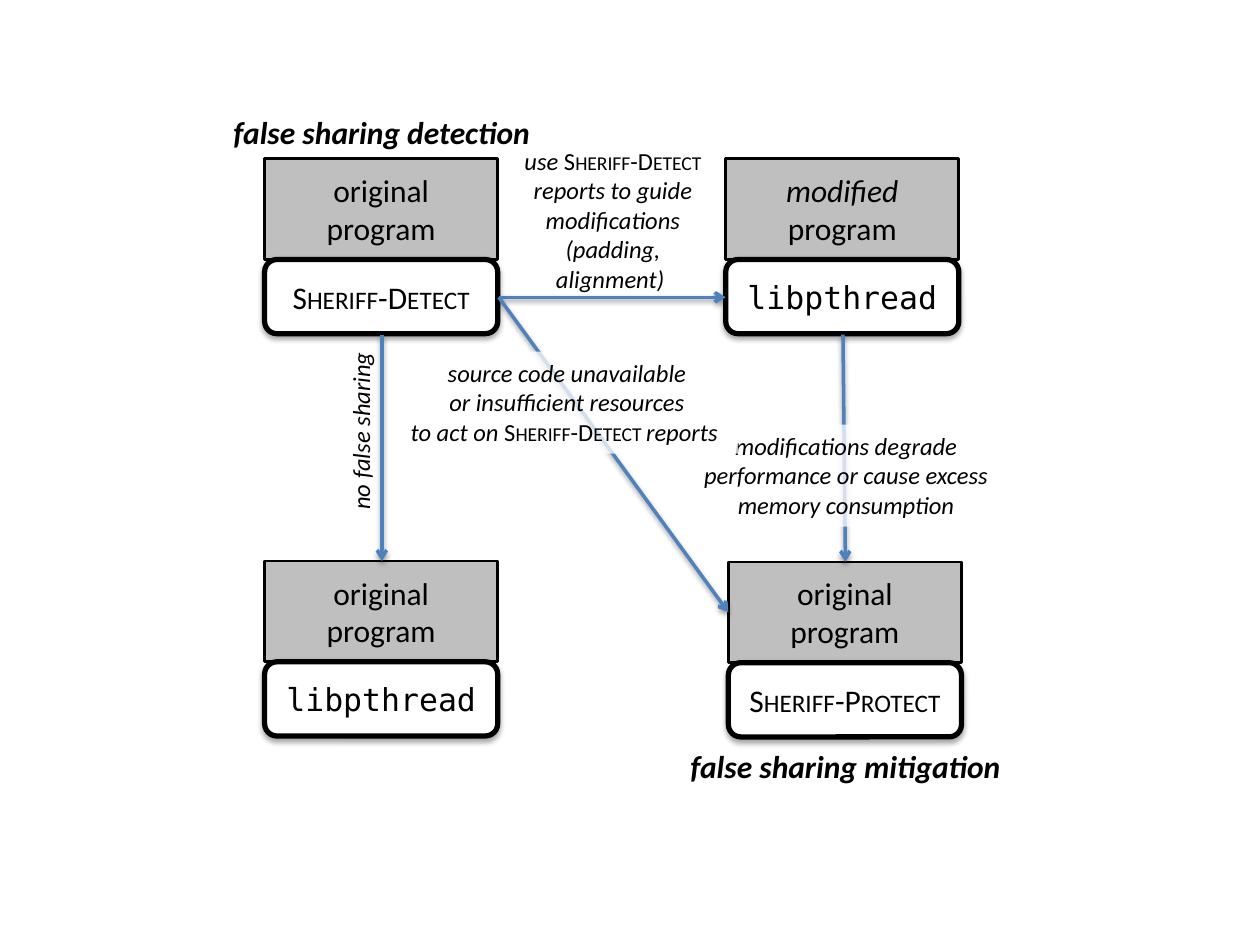
import pptx
import pptx.util
import pptx.dml.color
import pptx.enum.shapes
import pptx.enum.text
import pptx.oxml.ns
import lxml.etree

Pt = pptx.util.Pt
Kind = pptx.enum.shapes.MSO_SHAPE
Fit = pptx.enum.text.MSO_AUTO_SIZE
qn = pptx.oxml.ns.qn
HUES = {"ink": "000000", "gray": "BFBFBF", "white": "FFFFFF", "blue": "4F81BD"}
SANS, MONO = "Calibri", "DejaVu Sans Mono"


def tint(name):
    return pptx.dml.color.RGBColor.from_string(HUES[name])


def node(parent, tag, **attrs):
    return lxml.etree.SubElement(parent, qn(tag), {k: str(v) for k, v in attrs.items()})


def shade(effects, dist, alpha):
    drop = node(effects, "a:outerShdw", blurRad=Pt(3.1), dist=Pt(dist), dir=5400000, rotWithShape=0)
    node(node(drop, "a:srgbClr", val=HUES["ink"]), "a:alpha", val=alpha * 1000)


def write(shape, runs, size, face=SANS, wrap=True, grow=False):
    frame = shape.text_frame
    frame.word_wrap = wrap
    frame.auto_size = Fit.SHAPE_TO_FIT_TEXT if grow else Fit.NONE
    para = frame.paragraphs[0]
    para.alignment = pptx.enum.text.PP_ALIGN.CENTER
    for text, style in runs:
        for i, line in enumerate(text.split("\n")):
            if i:
                para.add_line_break()
            if not line:
                continue
            run = para.add_run()
            run.text = line
            font = run.font
            font.name, font.size = face, Pt(size)
            font.bold, font.italic = "b" in style, "i" in style
            font.color.rgb = tint("ink")
            if "s" in style:
                run._r.get_or_add_rPr().set("cap", "small")


def block(slide, kind, box, fill, edge=0):
    shape = slide.shapes.add_shape(kind, *map(Pt, box))
    shape.fill.solid()
    shape.fill.fore_color.rgb = tint(fill)
    if edge:
        shape.line.color.rgb = tint("ink")
        shape.line.width = Pt(edge)
    else:
        shape.line.fill.background()
    shape.shadow.inherit = False
    return shape


def stack(slide, box, title, base, face=SANS):
    x, y, w, h = box
    top = h * 0.576
    write(block(slide, Kind.RECTANGLE, (x, y, w, top), "gray", 1.5), title, 18)
    foot = block(slide, Kind.ROUNDED_RECTANGLE, (x, y + top, w, h - top), "white", 3)
    shade(foot._element.spPr.find(qn("a:effectLst")), 1.8, 35)
    write(foot, base, 18, face)


def arrow(slide, start, end):
    link = slide.shapes.add_connector(
        pptx.enum.shapes.MSO_CONNECTOR.STRAIGHT, *map(Pt, start + end))
    link.line.color.rgb = tint("blue")
    link.line.width = Pt(2)
    node(link.line._get_or_add_ln(), "a:tailEnd", type="arrow")
    shade(node(link._element.spPr, "a:effectLst"), 1.6, 38)


def label(slide, box, runs, size=14, wrap=True, turn=0):
    shape = slide.shapes.add_textbox(*map(Pt, box))
    shape.rotation = turn
    write(shape, runs, size, wrap=wrap, grow=True)


def veil(slide, box, runs, wrap=True):
    shape = block(slide, Kind.RECTANGLE, box, "white")
    hue = shape._element.spPr.find(qn("a:solidFill"))[0]
    node(hue, "a:alpha", val=75000)
    write(shape, runs, 14, wrap=wrap, grow=True)
    shape.text_frame.vertical_anchor = pptx.enum.text.MSO_ANCHOR.TOP


def tool(name):
    return [("S", ""), ("heriff", "s"), ("-", ""), (name, "s")]


def chart(slide):
    w, h = 133.2, 100
    left, right, low = 151.2, 414.7, 416.2
    top, under = 90.7, 320.6
    side, mid = left + w, 169.9
    plain = [("original program", "")]
    lib = [("libpthread", "")]

    label(slide, (151.9, 234, 108.7, 24.5), [("no false sharing", "i")], wrap=False, turn=270)
    stack(slide, (left, top, w, h), plain, tool("Detect"))
    stack(slide, (left, under, w, h), plain, lib, MONO)
    stack(slide, (right, top, w, h), [("modified\n", "i"), ("program", "")], lib, MONO)
    stack(slide, (low, under + 0.5, w, h), plain, tool("Protect"))

    for start, end in (
        ((218.2, 191.2), (218.2, under)),
        ((side + 0.6, mid), (right, mid)),
        ((side + 0.6, mid), (low, 349.9)),
        ((481.7, 191.2), (483.1, under + 0.5)),
    ):
        arrow(slide, start, end)

    label(slide, (280.8, 79.9, 139, 92.2),
          [("use ", "i"), *tool("Detect "),
           ("reports to guide\nmodifications\n(padding,\nalignment) ", "i")])
    label(slide, (115.9, 61.2, 204.5, 29), [("false sharing detection", "bi")], 18)
    label(slide, (383.8, 423.4, 198.7, 29), [("false sharing mitigation", "bi")], 18)
    veil(slide, (388.8, 242.6, 189.4, 58.3),
         [("modifications degrade performance or cause excess memory consumption", "i")])
    veil(slide, (226.1, 200.9, 195.8, 58.3),
         [("source code unavailable\nor insufficient resources\nto act on ", "i"),
          *tool("Detect "), ("reports ", "i")], wrap=False)


deck = pptx.Presentation()
deck.slide_width, deck.slide_height = Pt(720), Pt(540)
chart(deck.slides.add_slide(deck.slide_layouts[6]))
deck.save("out.pptx")
